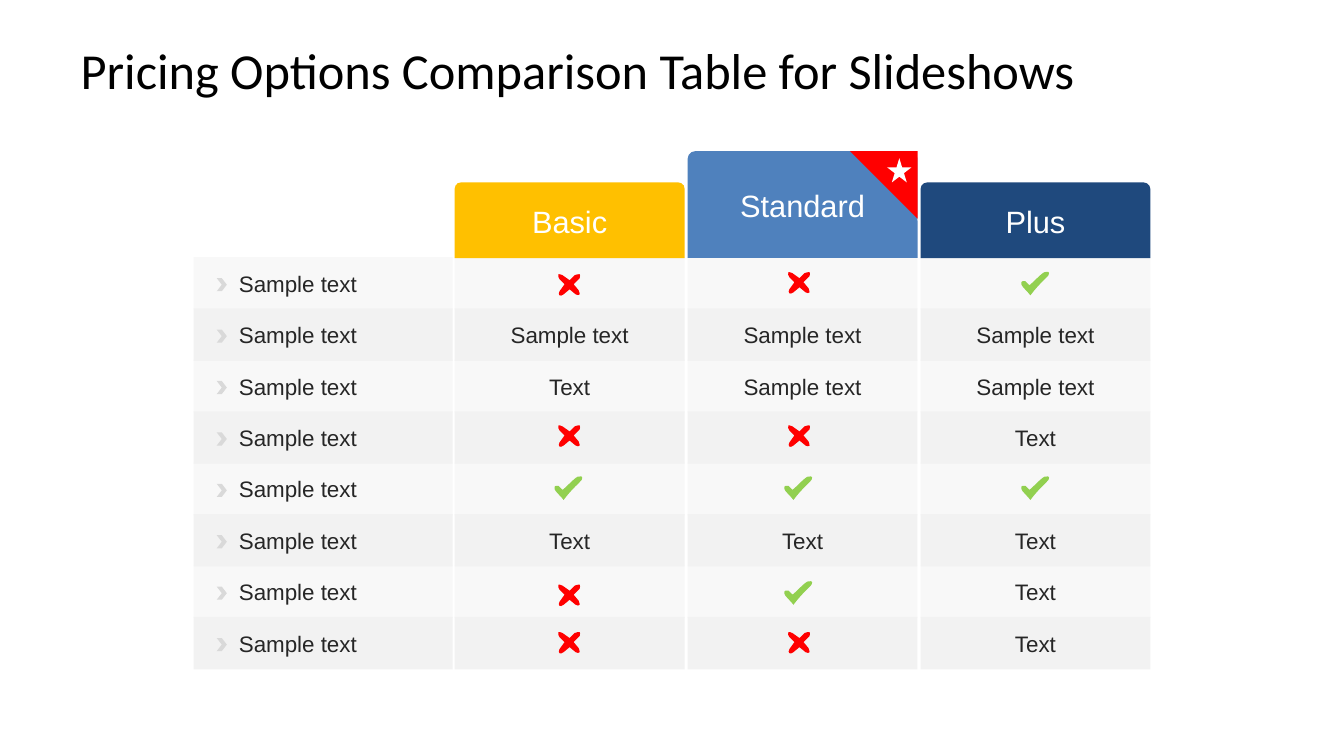
from dataclasses import dataclass

from pptx import Presentation, util as u
from pptx.dml.color import RGBColor
from pptx.enum import shapes, text
from pptx.oxml import ns, xmlchemy

INK, WHITE, BAND = "262626", "FFFFFF", "F2F2F2"
RED, GREEN = "FF0000", "92D050"
ROW_TOP, ROW_STEP, ROW_HEIGHT = 2.55, 0.51, 0.52
FEATURE_INSETS = (0.45, 0.05, 0.3, 0.05)
CELL_INSETS = (0.1, 0.05, 0.1, 0.05)
Box = tuple[float, float, float, float]


@dataclass
class Plan:
    name: str
    left: float
    top: float
    corner: float
    color: str
    cells: list[str]


@dataclass
class Icon:
    """Outline in hundredths of an inch: 2 numbers a line, 6 a curve."""
    color: str
    start: tuple[int, int]
    segments: list[tuple[int, ...]]


@dataclass
class Mark:
    icon: Icon
    left: float
    top: float


CROSS = Icon(RED, (7, 10), [
    (2, 5), (1, 3, 0, 2, 1, 0), (2, 0, 3, 0, 5, 1), (12, 6), (17, 1),
    (19, 0, 21, 0, 22, 0), (22, 1, 23, 2, 22, 4), (16, 10), (21, 16),
    (22, 18, 22, 20, 22, 20), (21, 21, 20, 21, 18, 20), (12, 15), (6, 20),
    (4, 21, 3, 22, 2, 21), (1, 20, 1, 19, 2, 17), (7, 10)])
CHECK = Icon(GREEN, (1, 13), [
    (0, 9, 4, 10, 5, 10), (6, 11, 9, 14, 9, 14), (12, 12, 21, 2, 24, 1),
    (26, 0, 30, 0, 28, 4), (26, 7, 19, 12, 10, 24), (8, 21, 1, 15, 1, 13)])

S, T = "Sample text", "Text"
PLANS = [
    Plan("Basic", 4.51, 1.81, 0.081, "FFC000", ["", S, T, "", "", T, "", ""]),
    Plan("Standard", 6.82, 1.5, 0.071, "4F81BD", ["", S, S, "", "", T, "", ""]),
    Plan("Plus", 9.13, 1.81, 0.089, "1F497D", ["", S, S, T, "", T, T, T]),
]
FEATURES = [S] * 8
MARKS = [
    Mark(CROSS, 5.53, 4.22), Mark(CHECK, 5.49, 4.72), Mark(CROSS, 5.53, 6.27),
    Mark(CHECK, 10.12, 2.69), Mark(CHECK, 10.12, 4.72),
    Mark(CROSS, 7.81, 4.22), Mark(CHECK, 7.77, 4.72), Mark(CHECK, 7.77, 5.76),
    Mark(CROSS, 7.81, 6.27), Mark(CROSS, 7.81, 2.7),
    Mark(CROSS, 5.53, 2.72), Mark(CROSS, 5.53, 5.8),
]


def rgb(color: str) -> RGBColor:
    return RGBColor.from_string(color)


def paint(sp, color: str, alpha: int = 100) -> None:
    sp.shadow.inherit = False
    sp.fill.solid()
    sp.fill.fore_color.rgb = rgb(color)
    sp.line.fill.background()
    if alpha < 100:
        clr = sp._element.spPr.find(".//" + ns.qn("a:srgbClr"))
        opacity = xmlchemy.OxmlElement("a:alpha")
        opacity.set("val", str(alpha * 1000))
        clr.append(opacity)


def write(sp, words: str, size: int, color: str, font: str = "Arial",
          align=text.PP_ALIGN.CENTER, insets: Box = CELL_INSETS) -> None:
    tf = sp.text_frame
    tf.word_wrap = True
    tf.auto_size = text.MSO_AUTO_SIZE.NONE
    tf.vertical_anchor = text.MSO_ANCHOR.MIDDLE
    tf.margin_left, tf.margin_top, tf.margin_right, tf.margin_bottom = map(u.Inches, insets)
    p = tf.paragraphs[0]
    p.alignment = align
    r = p.add_run()
    r.text = words
    r.font.size, r.font.name = u.Pt(size), font
    r.font.color.rgb = rgb(color)


def add_shape(parent, kind, box: Box, color: str, alpha: int = 100):
    sp = parent.shapes.add_shape(kind, *map(u.Inches, box))
    paint(sp, color, alpha)
    return sp


def add_column(parent, left: float, width: float, cells: list[str], **style) -> None:
    for row, words in enumerate(cells):
        box = (left, ROW_TOP + row * ROW_STEP, width, ROW_HEIGHT)
        sp = add_shape(parent, shapes.MSO_SHAPE.RECTANGLE, box, BAND, 100 if row % 2 else 50)
        if words:
            write(sp, words, 16, INK, **style)


def add_mark(parent, mark: Mark) -> None:
    segments = mark.icon.segments
    points = [mark.icon.start]
    for seg in segments:
        points += zip(seg[::2], seg[1::2])
    placed = [(u.Inches(mark.left + x / 100), u.Inches(mark.top + y / 100)) for x, y in points]
    outline = parent.shapes.build_freeform(*placed[0])
    outline.add_line_segments(placed[1:], close=True)
    sp = outline.convert_to_shape()
    paint(sp, mark.icon.color)

    # Join each curve's three points into one cubic segment
    nodes = iter(sp._element.spPr.findall(".//" + ns.qn("a:lnTo")))
    for seg in segments:
        first = next(nodes)
        if len(seg) == 6:
            first.tag = ns.qn("a:cubicBezTo")
            for node in (next(nodes), next(nodes)):
                first.append(node[0])
                node.getparent().remove(node)


def main() -> None:
    prs = Presentation()
    prs.slide_width, prs.slide_height = u.Inches(13.33), u.Inches(7.5)
    s = prs.slides.add_slide(prs.slide_layouts[5])

    # Title
    title = s.shapes.title
    title.left, title.top, title.width, title.height = map(u.Inches, (0.67, 0.3, 12, 0.78))
    write(title, "Pricing Options Comparison Table for Slideshows", 36, "000000",
          "Calibri", text.PP_ALIGN.LEFT, (0.13, 0.07, 0.13, 0.07))

    # Plan and feature columns
    table = s.shapes.add_group_shape()
    for plan in PLANS:
        add_column(table, plan.left, 2.28, plan.cells)
    add_column(table, 1.92, 2.57, FEATURES, align=text.PP_ALIGN.LEFT, insets=FEATURE_INSETS)

    # Plan headers
    for plan in PLANS:
        sp = add_shape(table, shapes.MSO_SHAPE.ROUND_2_SAME_RECTANGLE,
                       (plan.left, plan.top, 2.28, 2.56 - plan.top), plan.color)
        sp.adjustments[0], sp.adjustments[1] = plan.corner, 0
        write(sp, plan.name, 22, WHITE)

    # Feature bullets
    for row in range(len(FEATURES)):
        add_shape(table, shapes.MSO_SHAPE.CHEVRON,
                  (2.15, 2.76 + row * ROW_STEP, 0.1, 0.13), "D9D9D9")

    # Crosses and check marks
    for mark in MARKS:
        add_mark(table, mark)

    # Star badge on the Standard plan
    corner = add_shape(table, shapes.MSO_SHAPE.RIGHT_TRIANGLE, (8.43, 1.5, 0.67, 0.67), RED)
    corner.rotation = 180
    add_shape(table, shapes.MSO_SHAPE.STAR_5_POINT, (8.8, 1.57, 0.24, 0.24), WHITE)

    prs.save("out.pptx")


if __name__ == "__main__":
    main()
